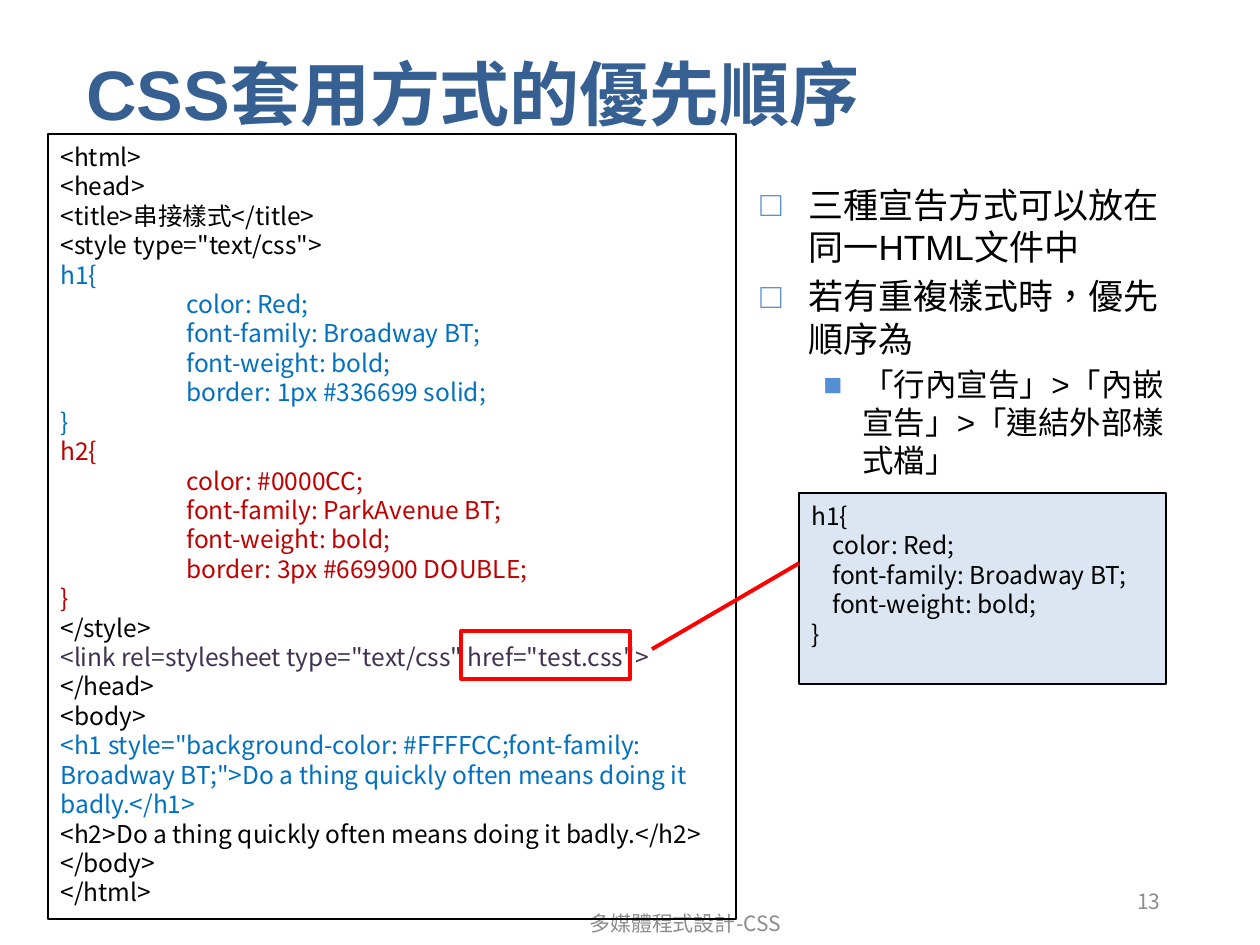
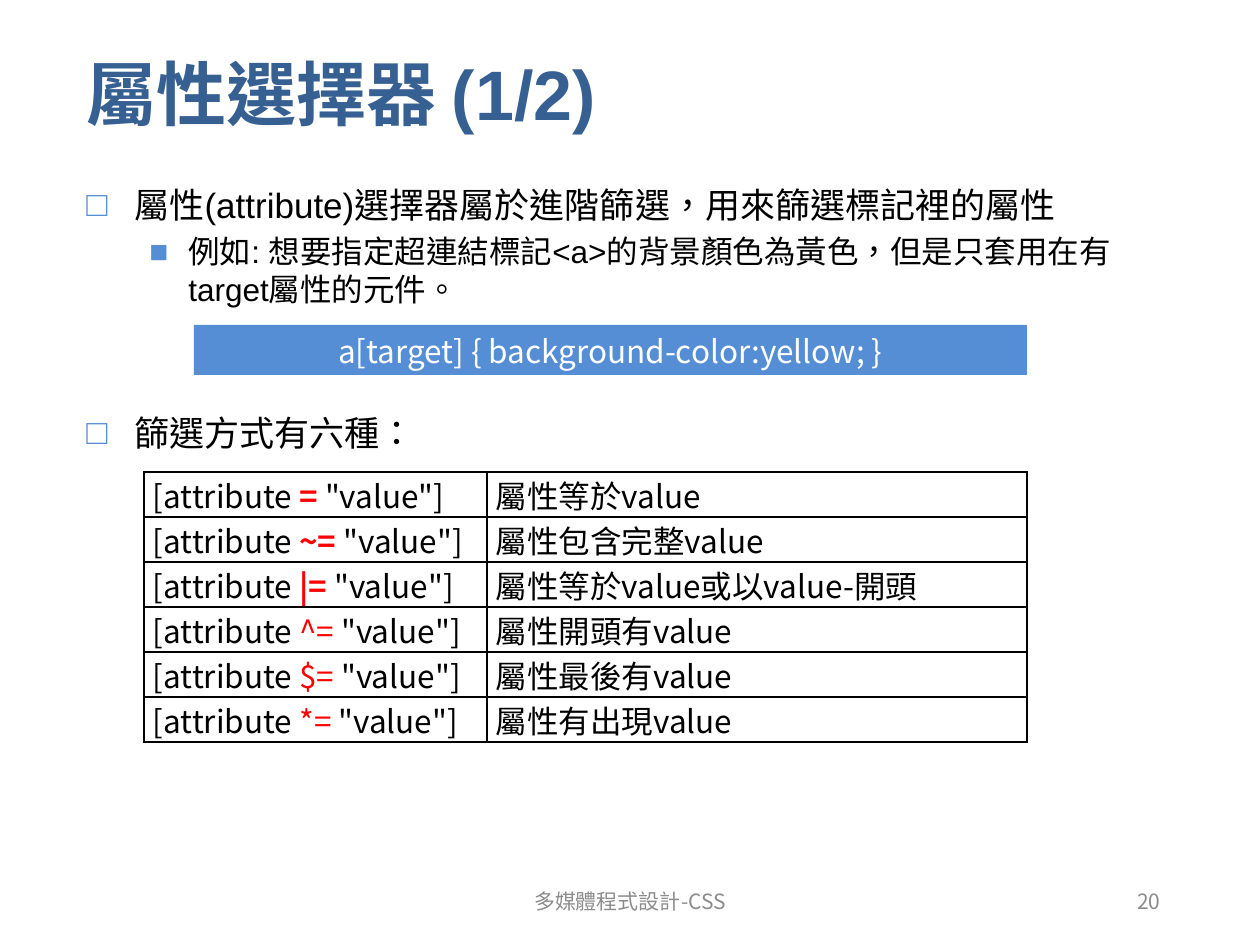
from lxml import etree
from pptx import Presentation
from pptx import util as u
from pptx.dml.color import RGBColor
from pptx.enum import lang, shapes, text
from pptx.oxml.ns import qn

PX = 914400 / 126
SANS, CODE = "Arial", "Noto Sans CJK KR"
BLACK, WHITE, RED, GRAY = "000000", "FFFFFF", "FF0000", "8C8C8C"
NAVY, SKY, PALE = "376092", "558ED5", "DCE6F2"
BLUE, CRIMSON, PLUM = "0070C0", "C00000", "403152"
LEFT, CENTER, RIGHT = text.PP_ALIGN.LEFT, text.PP_ALIGN.CENTER, text.PP_ALIGN.RIGHT
TOP, MIDDLE = text.MSO_ANCHOR.TOP, text.MSO_ANCHOR.MIDDLE

TITLE_BOX = (74, 6, 1099, 173)
FOOTER_TEXT = "多媒體程式設計-CSS"
BULLETS = [
    {"size": 20, "char": "□", "margin": 48, "hang": 48},
    {"size": 18, "char": "■", "margin": 102, "hang": 39},
]

H1_RULE = ["color: Red;", "font-family: Broadway BT;", "font-weight: bold;"]
H2_RULE = ["color: #0000CC;", "font-family: ParkAvenue BT;", "font-weight: bold;",
           "border: 3px #669900 DOUBLE;"]
SENTENCE = "Do a thing quickly often means doing it badly."
H1_STYLE = "background-color: #FFFFCC;font-family: Broadway BT;"

SELECTORS = [
    ("=", True, "屬性等於value"),
    ("~=", True, "屬性包含完整value"),
    ("|=", True, "屬性等於value或以value-開頭"),
    ("^=", False, "屬性開頭有value"),
    ("$=", False, "屬性最後有value"),
    ("*=", False, "屬性有出現value"),
]


def px(length):
    """Turn px into EMU."""
    return u.Emu(round(length * PX))


def color(code):
    """Turn a hex string into a colour."""
    return RGBColor.from_string(code)


def apply(target, values):
    """Set each named attribute of the target."""
    for name, value in values.items():
        setattr(target, name, value)


def add_span(para, words, size, tint=BLACK, font=CODE, bold=False):
    """Add one run of formatted text to a paragraph."""
    span = para.add_run()
    span.text = words
    apply(span.font, {"name": font, "size": u.Pt(size), "bold": bold,
                      "language_id": lang.MSO_LANGUAGE_ID.TRADITIONAL_CHINESE})
    span.font.color.rgb = color(tint)
    etree.SubElement(span.font._element, qn("a:ea"), typeface=CODE)


def set_frame(frame, anchor=TOP, top=6):
    """Make a text frame wrap, with its anchor and top margin."""
    apply(frame, {"word_wrap": True, "vertical_anchor": anchor, "margin_top": px(top)})


def next_para(frame, index):
    """Return the first paragraph, or a new one after it."""
    return frame.add_paragraph() if index else frame.paragraphs[0]


def add_label(page, box, words, size, align=LEFT, **style):
    """Add a one-line text box, centred vertically."""
    label = page.shapes.add_textbox(*map(px, box))
    set_frame(label.text_frame, MIDDLE)
    para = label.text_frame.paragraphs[0]
    para.alignment = align
    add_span(para, words, size, **style)


def add_frame_parts(page, title, number, footer_box):
    """Add the title, footer and page number of a slide."""
    add_label(page, TITLE_BOX, title, 40, tint=NAVY, font=SANS, bold=True)
    add_label(page, footer_box, FOOTER_TEXT, 12, CENTER, tint=GRAY)
    add_label(page, (890, 879, 283, 44), number, 12, RIGHT, tint=GRAY)


def add_bullets(page, box, items):
    """Add bulleted text from (level, words, space before) items."""
    frame = page.shapes.add_textbox(*map(px, box)).text_frame
    set_frame(frame)
    for index, (level, words, gap) in enumerate(items):
        bullet = BULLETS[level]
        para = next_para(frame, index)
        apply(para, {"level": level, "space_before": u.Pt(gap)})
        add_span(para, words, bullet["size"], font=SANS)
        props = para._p.get_or_add_pPr()
        props.set("marL", str(px(bullet["margin"])))
        props.set("indent", str(px(-bullet["hang"])))
        tint = etree.SubElement(props, qn("a:buClr"))
        etree.SubElement(tint, qn("a:srgbClr"), val=SKY)
        etree.SubElement(props, qn("a:buFont"), typeface=SANS)
        etree.SubElement(props, qn("a:buChar"), char=bullet["char"])


def add_panel(page, box, fill=None, line=None, weight=0.75,
              kind=shapes.MSO_SHAPE.RECTANGLE):
    """Add a flat shape with an optional fill and outline."""
    panel = page.shapes.add_shape(kind, *map(px, box))
    panel.shadow.inherit = False
    if fill:
        panel.fill.solid()
        panel.fill.fore_color.rgb = color(fill)
    else:
        panel.fill.background()
    if line:
        panel.line.color.rgb = color(line)
        panel.line.width = u.Pt(weight)
    else:
        panel.line.fill.background()
    return panel


def add_code(panel, lines, size, align=LEFT, anchor=TOP):
    """Fill a panel with code from (indent, words, colour) lines."""
    set_frame(panel.text_frame, anchor, 8)
    for index, (indent, words, tint) in enumerate(lines):
        para = next_para(panel.text_frame, index)
        apply(para, {"alignment": align, "line_spacing": u.Pt(size * 1.2)})
        if indent:
            para._p.get_or_add_pPr().set("marL", str(px(indent)))
        add_span(para, words, size, tint)


def css_rule(selector, declarations, indent, tint):
    """Return the code lines of one CSS rule."""
    body = [(indent, words, tint) for words in declarations]
    return [(0, selector + "{", tint), *body, (0, "}", tint)]


def plain(*lines):
    """Return unindented black code lines."""
    return [(0, words, BLACK) for words in lines]


def add_selector_table(page, box):
    """Add the table of attribute selectors and their meanings."""
    table_shape = page.shapes.add_table(len(SELECTORS), 2, *map(px, box))
    table = table_shape.table
    apply(table, {"first_row": False, "horz_banding": False})
    table.columns[0].width = px(343)
    table.columns[1].width = px(box[2] - 343)
    for row, (operator, bold, meaning) in zip(table.rows, SELECTORS):
        row.height = px(box[3] // len(SELECTORS))
        selector = [("[attribute ", BLACK, False), (operator + " ", RED, bold),
                    ('"value"]', BLACK, False)]
        for cell, spans in zip(row.cells, (selector, [(meaning, BLACK, False)])):
            apply(cell, {"margin_left": px(9), "margin_right": px(9), "margin_top": 0,
                         "margin_bottom": 0, "vertical_anchor": MIDDLE})
            for words, tint, weight in spans:
                add_span(cell.text_frame.paragraphs[0], words, 18, tint, bold=weight)
            outline_cell(cell)


def outline_cell(cell):
    """Give a table cell black borders and a white fill."""
    props = cell._tc.get_or_add_tcPr()
    for side in ("a:lnL", "a:lnR", "a:lnT", "a:lnB"):
        border = etree.SubElement(props, qn(side), w=str(u.Pt(1)))
        paint = etree.SubElement(border, qn("a:solidFill"))
        etree.SubElement(paint, qn("a:srgbClr"), val=BLACK)
    cell.fill.solid()
    cell.fill.fore_color.rgb = color(WHITE)


def build_priority(page):
    """Build the slide on the priority of CSS declarations."""
    add_frame_parts(page, "CSS套用方式的優先順序", "13", (472, 901, 426, 44))
    add_bullets(page, (748, 178, 445, 665), [
        (0, "三種宣告方式可以放在同一HTML文件中", 4),
        (0, "若有重複樣式時，優先順序為", 4),
        (1, "「行內宣告」>「內嵌宣告」>「連結外部樣式檔」", 3.6),
    ])
    document = [
        *plain("<html>", "<head>", "<title>串接樣式</title>", '<style type="text/css">'),
        *css_rule("h1", H1_RULE + ["border: 1px #336699 solid;"], 126, BLUE),
        *css_rule("h2", H2_RULE, 126, CRIMSON),
        *plain("</style>"),
        (0, '<link rel=stylesheet type="text/css" href="test.css">', PLUM),
        *plain("</head>", "<body>"),
        (0, f'<h1 style="{H1_STYLE}">{SENTENCE}</h1>', BLUE),
        *plain(f"<h2>{SENTENCE}</h2>", "</body>", "</html>"),
    ]
    add_code(add_panel(page, (48, 134, 688, 785), line=BLACK), document, 14)
    linked_file = add_panel(page, (799, 493, 367, 191), PALE, BLACK)
    add_code(linked_file, css_rule("h1", H1_RULE, 21, BLACK), 14)
    callout = add_panel(page, (461, 631, 169, 48), line=RED, weight=2.25,
                        kind=shapes.MSO_SHAPE.LINE_CALLOUT_1)
    for index, ratio in enumerate((0.38, 1.13, -1.41, 2)):
        callout.adjustments[index] = ratio


def build_selectors(page):
    """Build the slide on attribute selectors."""
    add_frame_parts(page, "屬性選擇器 (1/2)", "20", (417, 879, 426, 44))
    add_bullets(page, (74, 178, 1099, 665), [
        (0, "屬性(attribute)選擇器屬於進階篩選，用來篩選標記裡的屬性", 4),
        (1, "例如: 想要指定超連結標記<a>的背景顏色為黃色，但是只套用在有target屬性的元件。", 3.6),
        (0, "篩選方式有六種：", 59),
    ])
    add_selector_table(page, (144, 472, 883, 274))
    example = add_panel(page, (194, 325, 833, 50), SKY)
    add_code(example, [(0, "a[target] { background-color:yellow; }", WHITE)], 18, CENTER, MIDDLE)


def main():
    """Build and save the deck."""
    deck = Presentation()
    apply(deck, {"slide_width": u.Inches(10), "slide_height": u.Inches(7.5)})
    for build in (build_priority, build_selectors):
        build(deck.slides.add_slide(deck.slide_layouts[6]))
    deck.save("out.pptx")


if __name__ == "__main__":
    main()
